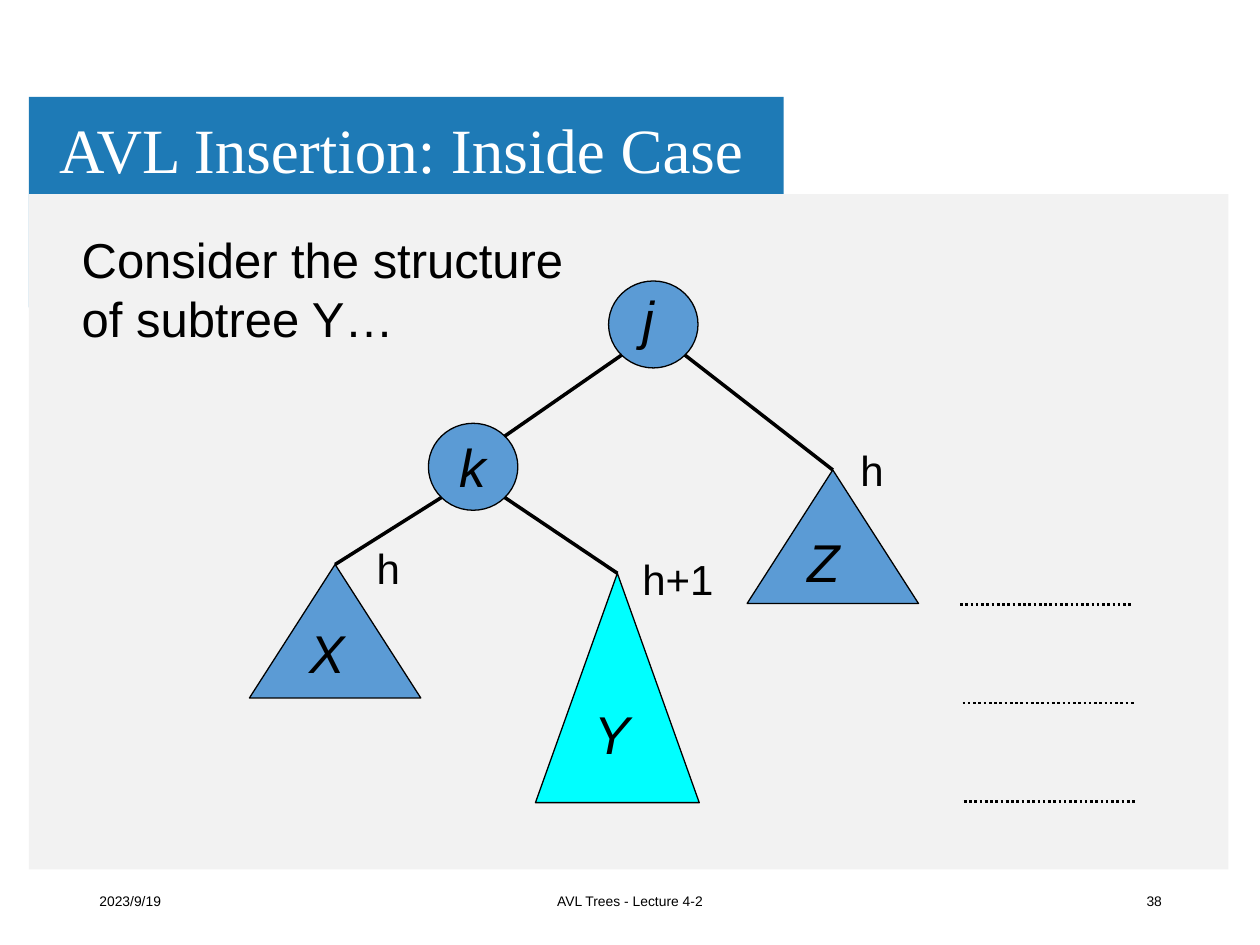
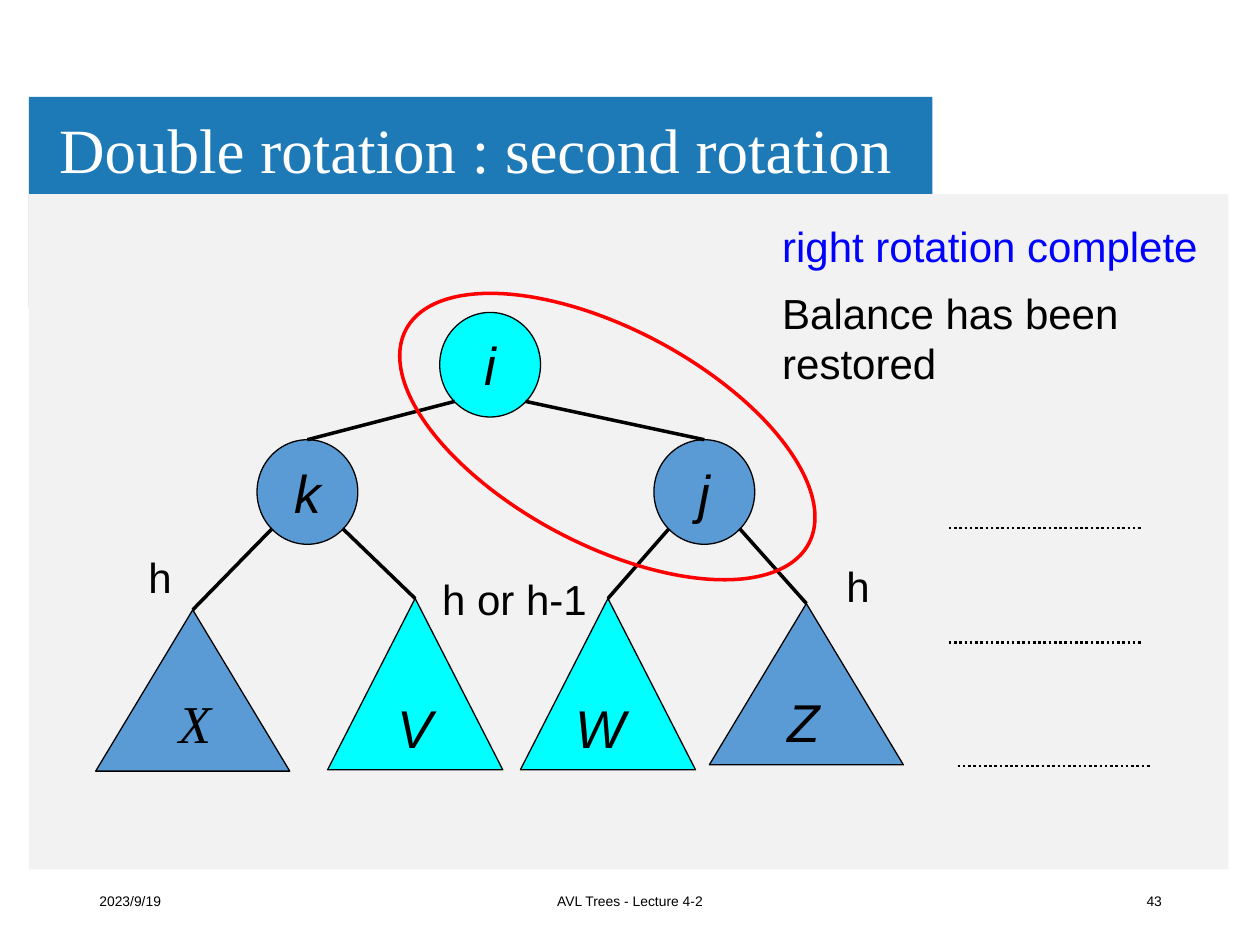
from dataclasses import dataclass
from lxml.etree import SubElement
from pptx import Presentation
from pptx.dml.color import RGBColor
from pptx.enum.dml import MSO_LINE
from pptx.enum.shapes import MSO_CONNECTOR, MSO_SHAPE
from pptx.enum.text import MSO_ANCHOR, MSO_AUTO_SIZE, PP_ALIGN
from pptx.oxml.ns import qn
from pptx.util import Inches, Pt


@dataclass(frozen=True)
class Theme:
    band: str = "1E7AB6"
    panel: str = "F2F2F2"
    node: str = "5B9BD5"
    focus: str = "00FFFF"
    ink: str = "000000"
    paper: str = "FFFFFF"
    note: str = "0000FF"
    ring: str = "FF0000"
    sans: str = "Arial"
    serif: str = "Times New Roman"
    title: float = 36
    lead: float = 28
    label: float = 24
    name: float = 30.4
    foot: float = 7.9
    thin: float = 0.75
    dots: float = 1.5
    edge: float = 2


T = Theme()
FORMS = {"circle": MSO_SHAPE.OVAL, "small": MSO_SHAPE.ISOSCELES_TRIANGLE,
         "tall": MSO_SHAPE.ISOSCELES_TRIANGLE}
TOP, CORNER = (0.5, 0), (0.85, 0.15)
DATE, LECTURE = "2023/9/19", "AVL Trees - Lecture 4-2"

# nodes: name, form, left, top, fill, corner of the letter box (None: centred), font
# edges: parent, child, point on the child
# marks: text, left, top, width; levels: left, top; notes: lines, box, size, colour
SLIDES = [
    {"title": "AVL Insertion: Inside Case", "band": 5.99, "page": "38",
     "sizes": {"circle": (0.71, 0.69), "small": (1.36, 1.06), "tall": (1.3, 1.82)},
     "notes": [("Consider the structure\nof subtree Y…", (0.55, 1.77, 4.02, 1.04),
                T.lead, T.ink)],
     "nodes": [("j", "circle", 4.83, 2.23, T.node, (5, 2.22), T.sans),
               ("k", "circle", 3.4, 3.36, T.node, (3.55, 3.4), T.sans),
               ("X", "small", 1.98, 4.48, T.node, (2.36, 4.87), T.sans),
               ("Y", "tall", 4.25, 4.55, T.focus, (4.62, 5.52), T.sans),
               ("Z", "small", 5.93, 3.73, T.node, (6.31, 4.15), T.sans)],
     "edges": [("j", "k", CORNER), ("j", "Z", TOP), ("k", "X", TOP), ("k", "Y", TOP)],
     "levels": [(7.62, 4.8), (7.64, 5.58), (7.65, 6.36)],
     "marks": [("h", 6.73, 3.48, 0.4), ("h+1", 5, 4.34, 0.8), ("h", 2.89, 4.26, 0.4)],
     "rings": []},
    {"title": "Double rotation : second rotation", "band": 7.17, "page": "43",
     "sizes": {"circle": (0.8, 0.83), "small": (1.54, 1.28), "tall": (1.39, 1.36)},
     "notes": [("right rotation complete", (6.11, 1.7, 3.5, 0.5), T.label, T.note),
               ("Balance has been\nrestored", (6.11, 2.23, 2.96, 0.91),
                T.label, T.ink)],
     "nodes": [("j", "circle", 5.19, 3.49, T.node, None, T.sans),
               ("k", "circle", 2.04, 3.49, T.node, None, T.sans),
               ("i", "circle", 3.49, 2.48, T.focus, None, T.sans),
               ("X", "small", 0.76, 4.84, T.node, (1.32, 5.43), T.serif),
               ("V", "tall", 2.6, 4.75, T.focus, None, T.sans),
               ("W", "tall", 4.13, 4.75, T.focus, (4.47, 5.47), T.sans),
               ("Z", "small", 5.63, 4.79, T.node, (6.15, 5.42), T.sans)],
     "edges": [("i", "k", TOP), ("i", "j", TOP), ("k", "X", TOP), ("k", "V", TOP),
               ("j", "W", TOP), ("j", "Z", TOP)],
     "levels": [(7.53, 4.19), (7.53, 5.1), (7.6, 6.08)],
     "marks": [("h", 6.62, 4.4, 0.4), ("h", 1.08, 4.33, 0.4),
               ("h or h-1", 3.41, 4.5, 1.52)],
     "rings": [((3.01, 2.61, 3.62, 1.71), 28)]},
]


def inch(nums):
    return [Inches(n) for n in nums]


def rgb(code):
    return RGBColor.from_string(code)


def write(frame, text, size, color=T.ink, font=T.sans, italic=False,
          align=PP_ALIGN.LEFT):
    frame.text = text
    for par in frame.paragraphs:
        par.alignment = align
        for run in par.runs:
            run.font.size, run.font.name = Pt(size), font
            run.font.color.rgb, run.font.italic = rgb(color), italic


def add_text(slide, box, text, size, wrap=True, anchor=MSO_ANCHOR.TOP, **look):
    frame = slide.shapes.add_textbox(*inch(box)).text_frame
    frame.word_wrap, frame.vertical_anchor = wrap, anchor
    write(frame, text, size, **look)


def add_form(slide, form, box, fill=None, line=None, width=T.thin):
    shape = slide.shapes.add_shape(form, *inch(box))
    shape.shadow.inherit = False
    if fill:
        shape.fill.solid()
        shape.fill.fore_color.rgb = rgb(fill)
    else:
        shape.fill.background()
    if line:
        shape.line.color.rgb, shape.line.width = rgb(line), Pt(width)
    else:
        shape.line.fill.background()
    return shape


def add_line(slide, start, end, width, dash=None):
    line = slide.shapes.add_connector(MSO_CONNECTOR.STRAIGHT, *inch(start + end))
    line.line.color.rgb, line.line.width = rgb(T.ink), Pt(width)
    if dash:
        line.line.dash_style = dash
    SubElement(line._element.spPr, qn("a:effectLst"))


def port(box, part):
    """Point at the given fractions of a box's width and height."""
    left, top, wide, high = box
    return left + part[0] * wide, top + part[1] * high


def add_frame(slide, data):
    """Bands, title and footer."""
    add_form(slide, MSO_SHAPE.RECTANGLE, (0.23, 0.77, data["band"], 1.67), T.band)
    add_form(slide, MSO_SHAPE.RECTANGLE, (0.23, 1.54, 9.52, 5.36), T.panel)
    title = slide.shapes.title
    slide.shapes._spTree.append(title._element)  # in front of the bands
    title.left, title.top, title.width, title.height = inch((0.4, 0.82, 7.72, 0.79))
    frame = title.text_frame
    frame.auto_size, frame.vertical_anchor = MSO_AUTO_SIZE.NONE, MSO_ANCHOR.MIDDLE
    frame.margin_left = frame.margin_right = Inches(0.07)
    frame.margin_top = frame.margin_bottom = Inches(0.04)
    write(frame, data["title"], T.title, T.paper, T.serif)
    frame.paragraphs[0].line_spacing = 0.9
    for text, left, wide, align in [(DATE, 0.69, 2.25, PP_ALIGN.LEFT),
                                    (LECTURE, 3.31, 3.38, PP_ALIGN.CENTER),
                                    (data["page"], 7.07, 2.25, PP_ALIGN.RIGHT)]:
        add_text(slide, (left, 6.95, wide, 0.4), text, T.foot,
                 anchor=MSO_ANCHOR.MIDDLE, align=align)


def add_tree(slide, data):
    sizes, boxes = data["sizes"], {}
    for name, form, left, top, fill, spot, font in data["nodes"]:
        box = boxes[name] = (left, top, *sizes[form])
        shape = add_form(slide, FORMS[form], box, fill, T.ink)
        if spot:
            add_text(slide, (*spot, 0.5, 0.61), name, T.name, font=font, italic=True)
        else:
            frame = shape.text_frame
            frame.word_wrap, frame.vertical_anchor = False, MSO_ANCHOR.MIDDLE
            write(frame, name, T.name, font=font, italic=True, align=PP_ALIGN.CENTER)
    for up, down, part in data["edges"]:
        end = port(boxes[down], part)
        side = 0.15 if end[0] < port(boxes[up], TOP)[0] else 0.85
        add_line(slide, port(boxes[up], (side, 0.85)), end, T.edge)
    for left, top in data["levels"]:
        add_line(slide, (left, top), (left + sizes["small"][0], top), T.dots,
                 MSO_LINE.ROUND_DOT)
    for box, turn in data["rings"]:
        ring = add_form(slide, MSO_SHAPE.OVAL, box, line=T.ring, width=T.edge)
        ring.rotation = turn
    for text, left, top, wide in data["marks"]:
        add_text(slide, (left, top, wide, 0.5), text, T.label)


def main():
    deck = Presentation()
    deck.slide_width, deck.slide_height = inch((10, 7.5))
    for data in SLIDES:
        slide = deck.slides.add_slide(deck.slide_layouts[5])
        add_frame(slide, data)
        for text, box, size, color in data["notes"]:
            add_text(slide, box, text, size, wrap=False, color=color)
        add_tree(slide, data)
    deck.save("out.pptx")


if __name__ == "__main__":
    main()
